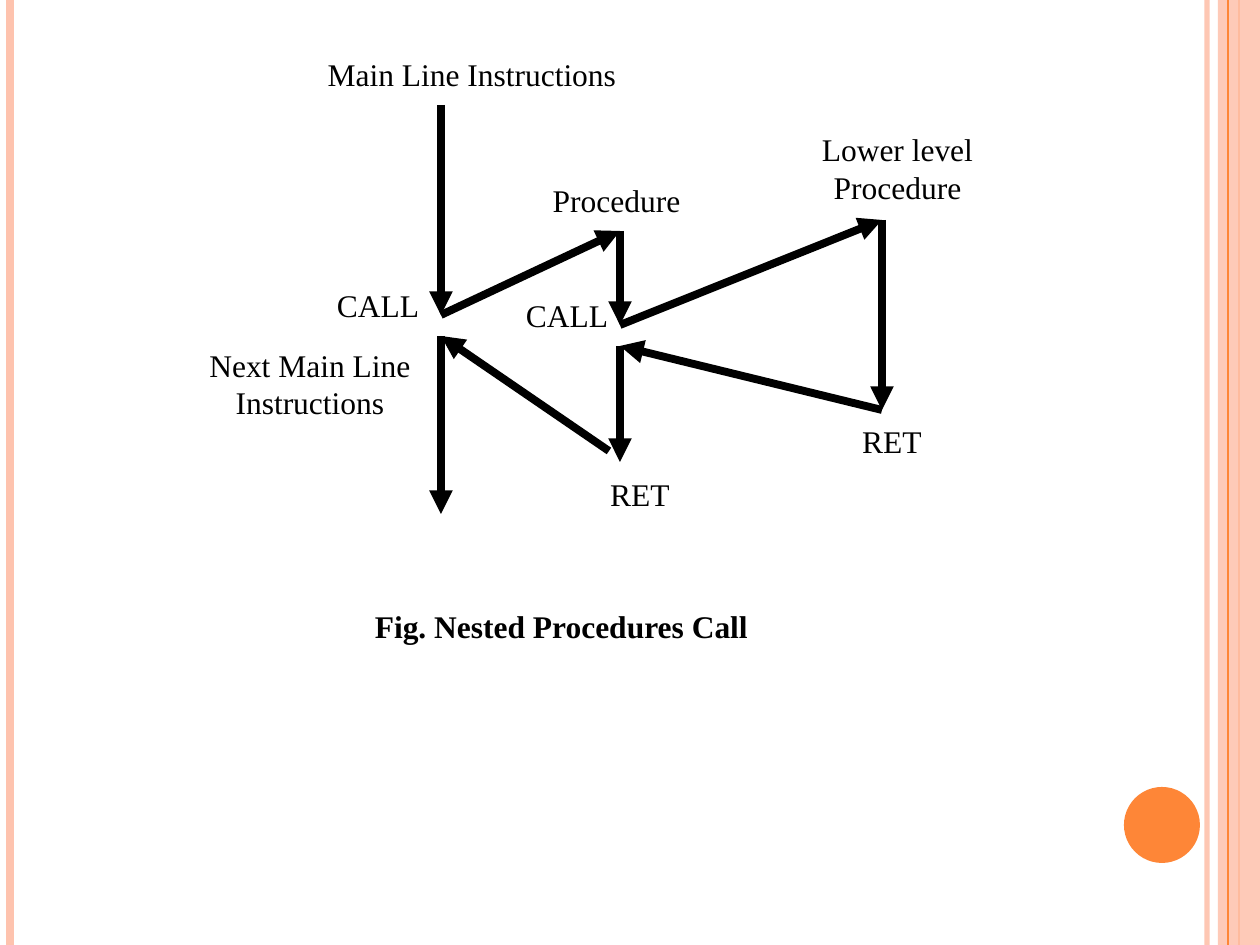
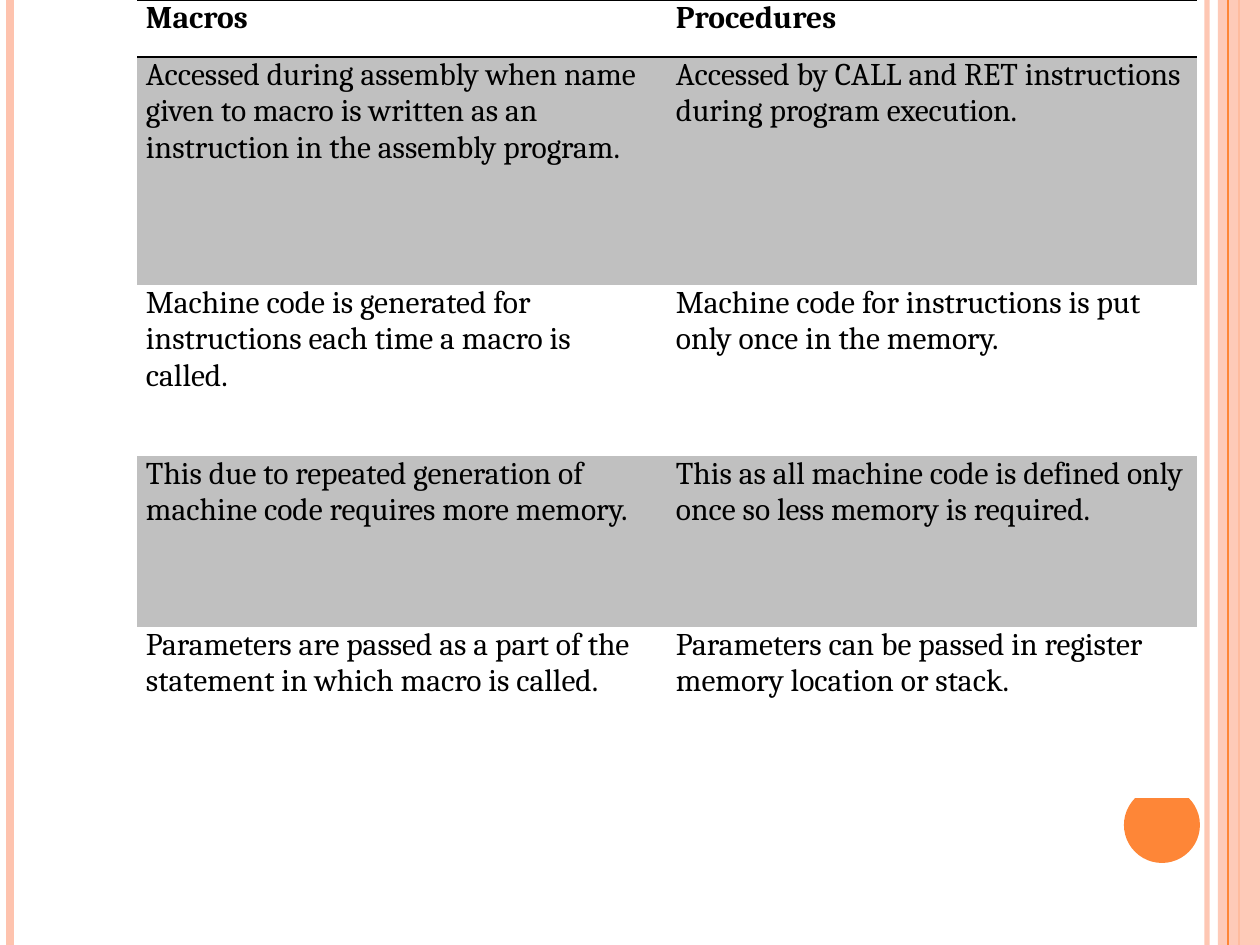
from lxml import etree
from pptx import Presentation
from pptx.dml.color import RGBColor
from pptx.enum.shapes import MSO_CONNECTOR, MSO_SHAPE
from pptx.enum.text import MSO_ANCHOR, PP_ALIGN
from pptx.oxml.ns import qn
from pptx.util import Pt

PX = 7257  # EMU in one px, 126 px to the inch
PAGE_WIDTH, PAGE_HEIGHT = 1260, 945

BLACK = RGBColor(0x00, 0x00, 0x00)
WHITE = RGBColor(0xFF, 0xFF, 0xFF)
SILVER = RGBColor(0xC0, 0xC0, 0xC0)
PEACH = RGBColor(0xFE, 0xC3, 0xAE)
ORANGE = RGBColor(0xFE, 0x86, 0x37)

DIAGRAM_FONT, TABLE_FONT = "Times New Roman", "Cambria"
TEXT_SIZE = Pt(18)
NO_STYLE_NO_GRID = "{2D5ABB26-0587-4C30-8999-92F81FD0307C}"

STRAIGHT = MSO_CONNECTOR.STRAIGHT
RECTANGLE, OVAL = MSO_SHAPE.RECTANGLE, MSO_SHAPE.OVAL
MIDDLE, CENTER = MSO_ANCHOR.MIDDLE, PP_ALIGN.CENTER


def set_opacity(fill_owner, percent):
    """Make the first solid colour of a shape or line partly transparent."""
    colour = next(fill_owner.iter(qn("a:srgbClr")))
    etree.SubElement(colour, qn("a:alpha")).set("val", str(percent * 1000))


def add_line(page, start, end, colour, width):
    line = page.shapes.add_connector(
        STRAIGHT, *(value * PX for value in (*start, *end)))
    line.line.color.rgb = colour
    line.line.width = Pt(width)
    etree.SubElement(line._element.spPr, qn("a:effectLst"))
    return line


deck = Presentation()
deck.slide_width = PAGE_WIDTH * PX
deck.slide_height = PAGE_HEIGHT * PX
blank = deck.slide_layouts[6]

# Side bands and dot shared by both slides
pages = [deck.slides.add_slide(blank) for _ in range(2)]
for page in pages:
    page.background.fill.solid()
    page.background.fill.fore_color.rgb = WHITE

    # x, colour, width in points; the last rule lies over the band
    rules = [(1207, PEACH, 3), (10, PEACH, 4.5), (1239, ORANGE, 1.5), (1228, ORANGE, 0.75)]
    for x, colour, width in rules:
        if x == 1228:
            band = page.shapes.add_shape(RECTANGLE, 1218 * PX, 0, 42 * PX, PAGE_HEIGHT * PX)
            band.shadow.inherit = False
            band.fill.solid()
            band.fill.fore_color.rgb = PEACH
            band.line.fill.background()
            set_opacity(band._element.spPr, 87)
        rule = add_line(page, (x, 0), (x, PAGE_HEIGHT), colour, width)
        if x == 1207:
            set_opacity(rule._element.spPr, 93)

    dot = page.shapes.add_shape(OVAL, 1124 * PX, 787 * PX, 76 * PX, 76 * PX)
    dot.shadow.inherit = False
    dot.fill.solid()
    dot.fill.fore_color.rgb = ORANGE
    dot.line.fill.background()

diagram_page, comparison_page = pages

# Nested procedure calls
main_call, main_return = (441, 315), (441, 336)
procedure_start, procedure_end = (620, 231), (620, 462)
nested_call, nested_return = (620, 325), (620, 346)
lower_start, lower_end = (882, 220), (882, 410)

flow = [
    ((441, 105), main_call),
    (lower_start, lower_end),
    (lower_end, nested_return),
    (procedure_start, nested_call),
    (nested_call, lower_start),
    (nested_return, procedure_end),
    ((609, 451), main_return),
    (main_call, procedure_start),
    (main_return, (441, 514)),
]
for start, end in flow:
    arrow = add_line(diagram_page, start, end, BLACK, 4.5)
    etree.SubElement(arrow.line._get_or_add_ln(), qn("a:tailEnd")).set("type", "triangle")

# left, top, width, height, lines of text, bold
labels = [
    (325, 53, 294, 42, ["Main Line Instructions"], False),
    (829, 420, 126, 42, ["RET"], False),
    (787, 126, 221, 84, ["Lower level", "Procedure"], False),
    (523, 294, 88, 42, ["CALL"], False),
    (577, 473, 126, 42, ["RET"], False),
    (542, 179, 157, 42, ["Procedure "], False),
    (334, 284, 88, 42, ["CALL"], False),
    (189, 347, 242, 73, ["Next Main Line", "Instructions"], False),
    (283, 599, 557, 53, ["Fig. Nested Procedures Call"], True),
]
for left, top, width, height, lines, bold in labels:
    box = diagram_page.shapes.add_textbox(left * PX, top * PX, width * PX, height * PX)
    frame = box.text_frame
    frame.word_wrap = False
    frame.margin_left = frame.margin_right = 0
    frame.vertical_anchor = MIDDLE
    for index, line in enumerate(lines):
        para = frame.add_paragraph() if index else frame.paragraphs[0]
        para.alignment = CENTER
        span = para.add_run()
        span.text = line
        span.font.name = DIAGRAM_FONT
        span.font.size = TEXT_SIZE
        span.font.bold = bold
        span.font.color.rgb = BLACK

# Macros against procedures
comparison = [
    (57, "Macros", "Procedures"),
    (228,
     "Accessed during assembly when name given to macro is written as an "
     "instruction in the assembly program.",
     "Accessed by CALL and RET instructions during program execution."),
    (171,
     "Machine code is generated for instructions each time a macro is called.",
     "Machine code for instructions is put only once in the memory."),
    (171,
     "This due to repeated generation of machine code requires more memory.",
     "This as all machine code is defined only once so less memory is required."),
    (171,
     "Parameters are passed as a part of the statement in which macro is called.",
     "Parameters can be passed in register memory location or stack."),
]
table_height = sum(height for height, *_ in comparison)
table = comparison_page.shapes.add_table(
    len(comparison), 2, 137 * PX, 0, 1060 * PX, table_height * PX).table
table.first_row = False
table.horz_banding = False
table._tbl.tblPr.find(qn("a:tableStyleId")).text = NO_STYLE_NO_GRID
for column in table.columns:
    column.width = 530 * PX

for row, (height, *texts) in enumerate(comparison):
    table.rows[row].height = height * PX
    for column, text in enumerate(texts):
        cell = table.cell(row, column)
        cell.margin_left = cell.margin_right = 9 * PX
        cell.margin_top = cell.margin_bottom = 0
        cell.fill.solid()
        cell.fill.fore_color.rgb = SILVER if row % 2 else WHITE
        span = cell.text_frame.paragraphs[0].add_run()
        span.text = text
        span.font.name = TABLE_FONT
        span.font.size = TEXT_SIZE
        span.font.bold = row == 0
        span.font.color.rgb = BLACK

        # Only the header row is ruled, above and below
        sides = [("a:lnT", row <= 1), ("a:lnB", row == 0)]
        for position, (side, ruled) in enumerate(sides):
            border = etree.Element(qn(side), w=str(Pt(1)))
            if ruled:
                ink = etree.SubElement(border, qn("a:solidFill"))
                etree.SubElement(ink, qn("a:srgbClr")).set("val", str(BLACK))
            else:
                etree.SubElement(border, qn("a:noFill"))
            cell._tc.get_or_add_tcPr().insert(position, border)

deck.save("out.pptx")
